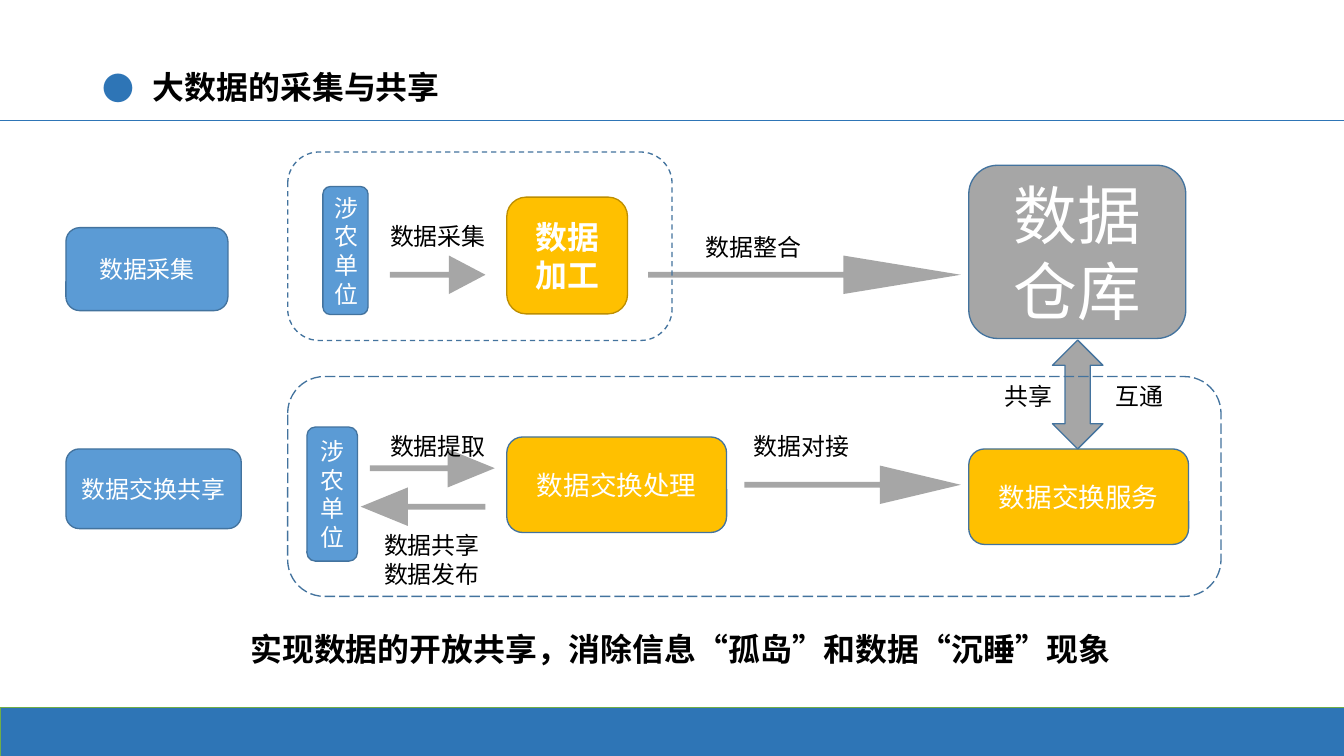
from lxml import etree
from pptx import Presentation
from pptx import util as u
from pptx.dml.color import RGBColor
from pptx.enum import dml, shapes, text
from pptx.oxml.ns import qn

FONT = "Noto Sans CJK SC"
COLORS = {
    "blue": "5B9BD5", "edge": "43739E", "gold": "FFC000", "gold edge": "BD8E00",
    "grey": "A6A6A6", "band": "2E75B6", "band edge": "70AD47",
    "white": "FFFFFF", "black": "000000",
}
WIDTH, HEIGHT = 1012.3, 569.5
ARROW_HEIGHT, SHAFT = 29, 4.3
LABEL_HEIGHT = 29


def color(name):
    return RGBColor.from_string(COLORS[name])


def points(*lengths):
    return [u.Pt(length) for length in lengths]


def write(frame, lines, size, ink, bold=False, align=text.PP_ALIGN.LEFT):
    """Fill a text frame with one paragraph per line."""
    for index, line in enumerate(lines):
        para = frame.add_paragraph() if index else frame.paragraphs[0]
        para.alignment = align
        span = para.add_run()
        span.text = line
        span.font.size = u.Pt(size)
        span.font.bold = bold
        span.font.color.rgb = color(ink)
        span.font.name = FONT
        etree.SubElement(span.font._element, qn("a:ea"), typeface=FONT)


def block(page, kind, box, fill=None, edge="edge", weight=1, dash=None):
    shape = page.shapes.add_shape(kind, *points(*box))
    shape.shadow.inherit = False
    if fill:
        shape.fill.solid()
        shape.fill.fore_color.rgb = color(fill)
    else:
        shape.fill.background()
    shape.line.color.rgb = color(edge)
    shape.line.width = u.Pt(weight)
    if dash:
        shape.line.dash_style = dash
    return shape


def node(page, box, lines, fill, size=18, bold=False, edge="edge"):
    shape = block(page, shapes.MSO_SHAPE.ROUNDED_RECTANGLE, box, fill, edge)
    frame = shape.text_frame
    frame.word_wrap = True
    frame.vertical_anchor = text.MSO_ANCHOR.MIDDLE
    write(frame, lines, size, "white", bold, text.PP_ALIGN.CENTER)


def lane(page, box, dash):
    block(page, shapes.MSO_SHAPE.ROUNDED_RECTANGLE, box, dash=dash)


def label(page, box, lines, size=18, bold=False):
    frame = page.shapes.add_textbox(*points(*box)).text_frame
    frame.word_wrap = False
    frame.auto_size = text.MSO_AUTO_SIZE.SHAPE_TO_FIT_TEXT
    write(frame, lines, size, "black", bold)


def arrow(page, tail, top, length, head):
    """Thin shaft with a long head; a negative length points left."""
    way = 1 if length > 0 else -1
    tip, neck = tail + length, tail + length - way * head
    middle, bottom = top + ARROW_HEIGHT / 2, top + ARROW_HEIGHT
    upper, lower = middle - SHAFT / 2, middle + SHAFT / 2
    outline = [(tip, middle), (neck, bottom), (neck, lower),
               (tail, lower), (tail, upper), (neck, upper)]
    builder = page.shapes.build_freeform(*points(neck, top))
    builder.add_line_segments([points(*spot) for spot in outline], close=True)
    shape = builder.convert_to_shape()
    shape.shadow.inherit = False
    shape.fill.solid()
    shape.fill.fore_color.rgb = color("grey")
    shape.line.fill.background()


def heading(page, box):
    """Bulleted title above a full-width rule."""
    left, top, width, height = box
    rule = page.shapes.add_connector(
        shapes.MSO_CONNECTOR.STRAIGHT, *points(0, top + 60.5, WIDTH, top + 60.5))
    rule.line.color.rgb = color("band")
    rule.line.width = u.Pt(1)
    etree.SubElement(rule._element.spPr, qn("a:effectLst"))

    title = page.shapes.title
    title.left, title.top, title.width, title.height = points(*box)
    frame = title.text_frame
    frame.word_wrap = True
    frame.auto_size = text.MSO_AUTO_SIZE.NONE
    frame.vertical_anchor = text.MSO_ANCHOR.MIDDLE
    write(frame, ["大数据的采集与共享"], 24, "black", True)
    para = frame.paragraphs[0]
    para.line_spacing = 0.9
    props = para._p.get_or_add_pPr()
    props.set("marL", str(u.Pt(38)))
    props.set("indent", str(-u.Pt(38)))
    tint = etree.SubElement(props, qn("a:buClr"))
    etree.SubElement(tint, qn("a:srgbClr"), val=COLORS["band"])
    etree.SubElement(props, qn("a:buFont"), typeface=FONT)
    etree.SubElement(props, qn("a:buChar"), char="●")


def collection(page, box):
    """Upper row: units, processing, warehouse."""
    x, y, width, height = box
    node(page, (x, y + 57, 122, 62.5), ["数据采集"], "blue")
    node(page, (x + 193.5, y + 26, 34, 96.5), ["涉农单位"], "blue")
    node(page, (x + 332, y + 34, 91, 88), ["数据", "加工"], "gold", 24, True, "gold edge")
    node(page, (x + width - 163.5, y + 10, 163.5, 130.5), ["数据仓库"], "grey", 48)
    arrow(page, x + 244, y + 78, 72, 27.5)
    arrow(page, x + 438.5, y + 78, 235.5, 88.5)
    label(page, (x + 237, y + 49, 86.4, LABEL_HEIGHT), ["数据采集"])
    label(page, (x + 475, y + 57, 86.4, LABEL_HEIGHT), ["数据整合"])
    lane(page, (x + 167, y, 289.5, height), dml.MSO_LINE.DASH)


def sharing(page, box):
    """Lower row: units, exchange processing, exchange service."""
    x, y, width, height = box
    node(page, (x, y + 54.5, 132, 60), ["数据交换共享"], "blue")
    node(page, (x + 181.5, y + 38, 38, 101), ["涉农单位"], "blue")
    node(page, (x + 332, y + 45.5, 165.6, 72), ["数据交换处理"], "gold", 20)
    node(page, (x + 680, y + 54.5, 165.6, 72), ["数据交换服务"], "gold", 20)
    block(page, shapes.MSO_SHAPE.UP_DOWN_ARROW, (x + 743, y - 27.5, 38, 82), "grey")
    arrow(page, x + 229, y + 54.5, 94, 35.5)
    arrow(page, x + 316, y + 83.5, -94, 35.5)
    arrow(page, x + 511, y + 67, 163, 61)
    label(page, (x + 237, y + 38, 86.4, LABEL_HEIGHT), ["数据提取"])
    label(page, (x + 511, y + 38, 86.4, LABEL_HEIGHT), ["数据对接"])
    label(page, (x + 232.5, y + 112.5, 86.4, 51), ["数据共享", "数据发布"])
    label(page, (x + 700, y, 50.4, LABEL_HEIGHT), ["共享"])
    label(page, (x + 783.5, y, 50.4, LABEL_HEIGHT), ["互通"])
    lane(page, (x + 167, y, width - 167, height), dml.MSO_LINE.LONG_DASH)


def closing(page, box):
    """Conclusion and the band along the bottom."""
    left, top, width, height = box
    label(page, (left + 181.5, top, 665, 36), ["实现数据的开放共享，消除信息“孤岛”和数据“沉睡”现象"], 24, True)
    block(page, shapes.MSO_SHAPE.RECTANGLE, (left, top + height - 36.7, width, 36.7),
          "band", "band edge", 0.5)


deck = Presentation()
deck.slide_width, deck.slide_height = points(WIDTH, HEIGHT)
page = deck.slides.add_slide(deck.slide_layouts.get_by_name("Title Only"))
heading(page, (70, 30.2, 873.5, 73.5))
collection(page, (49.7, 114.5, 843.5, 142))
sharing(page, (49.7, 283.7, 870, 165.6))
closing(page, (0, 471, WIDTH, HEIGHT - 471))
deck.save("out.pptx")
